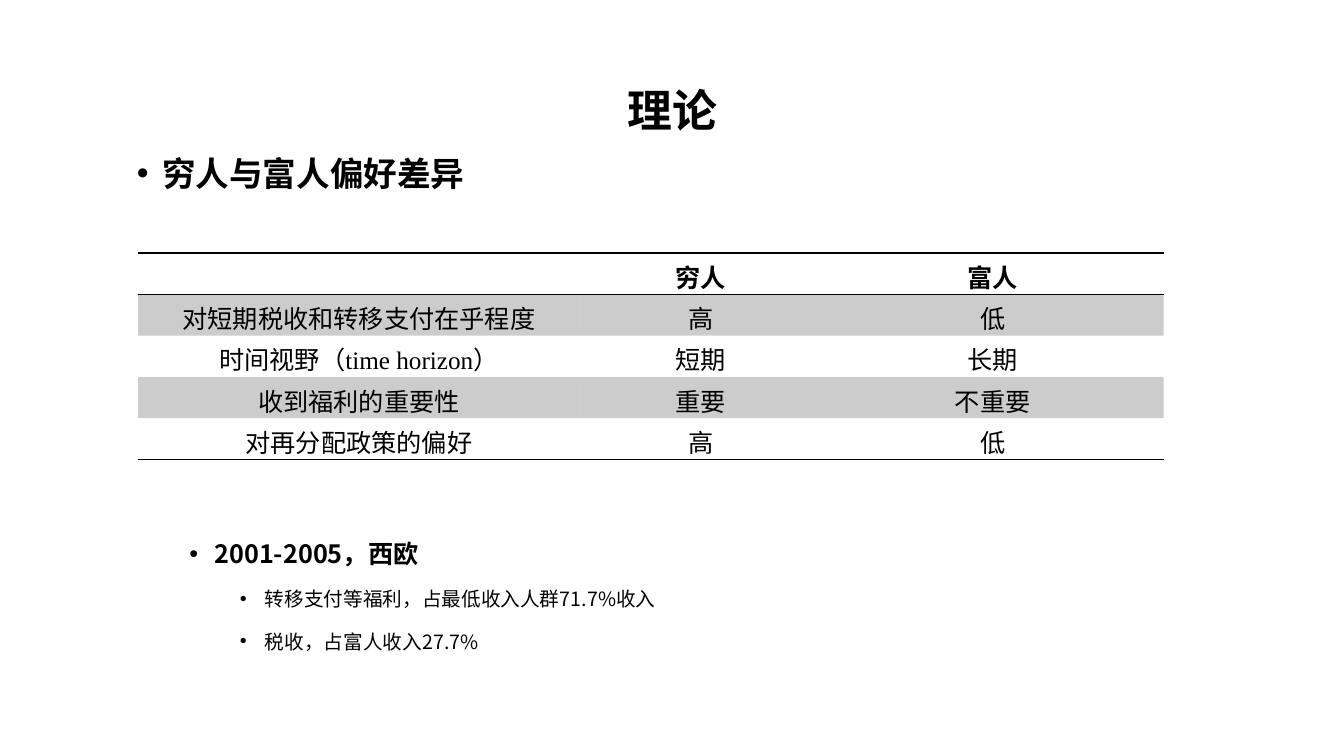
from lxml import etree
from pptx import Presentation
from pptx.dml.color import RGBColor
from pptx.enum.text import MSO_ANCHOR, PP_ALIGN
from pptx.oxml.ns import qn
from pptx.util import Inches, Pt

BLACK = RGBColor(0, 0, 0)
CENTER = PP_ALIGN.CENTER
MIDDLE = MSO_ANCHOR.MIDDLE
SANS = "Noto Sans CJK SC"
SERIF = "Times New Roman"
PLAIN = "{2D5ABB26-0587-4C30-8999-92F81FD0307C}"

WIDTHS = (4.38, 2.4, 3.39)
ROWS = (
    ("", "穷人", "富人"),
    ("对短期税收和转移支付在乎程度", "高", "低"),
    (("时间视野（", "time horizon", "）"), "短期", "长期"),
    ("收到福利的重要性", "重要", "不重要"),
    ("对再分配政策的偏好", "高", "低"),
)
FACTS = (
    ("2001-2005，西欧", 18, True, 0.25),
    ("转移支付等福利，占最低收入人群71.7%收入", 14, False, 0.75),
    ("税收，占富人收入27.7%", 14, False, 0.75),
)


class Page:
    """Style and current slide, with a method for each kind of element."""

    def __init__(self, deck):
        self.slide = deck.slides.add_slide(deck.slide_layouts[6])

    def style(self, par, size, bold):
        font = par.font
        font.size, font.bold = Pt(size), bold
        font.color.rgb = BLACK
        font.name = SANS
        node = par._p.pPr.find(qn("a:defRPr"))
        etree.SubElement(node, qn("a:ea"), typeface=SANS)

    def bullet(self, par, left):
        props = par._p.get_or_add_pPr()
        props.set("marL", str(Inches(left)))
        props.set("indent", str(Inches(-0.25)))
        etree.SubElement(props, qn("a:buFont"), typeface="Arial")
        etree.SubElement(props, qn("a:buChar"), char="•")

    def text(self, box, items, space, before=0, align=None, anchor=None):
        shape = self.slide.shapes.add_textbox(*map(Inches, box))
        frame = shape.text_frame
        frame.word_wrap = True
        frame.vertical_anchor = anchor
        for i, (words, size, bold, left) in enumerate(items):
            par = frame.add_paragraph() if i else frame.paragraphs[0]
            par.text = words
            par.alignment = align
            par.line_spacing = space
            if i:
                par.space_before = Pt(before)
            if left:
                par.level = int(left > 0.25)
                self.bullet(par, left)
            self.style(par, size, bold)

    def border(self, cell, side):
        line = etree.SubElement(cell._tc.get_or_add_tcPr(), qn("a:ln" + side), w=str(Pt(1)))
        fill = etree.SubElement(line, qn("a:solidFill"))
        etree.SubElement(fill, qn("a:srgbClr"), val=str(BLACK))

    def shade(self, cell):
        cell.fill.solid()
        cell.fill.fore_color.rgb = BLACK
        color = next(cell._tc.tcPr.iter(qn("a:srgbClr")))
        etree.SubElement(color, qn("a:alpha"), val="20000")

    def cell(self, cell, words, head):
        par = cell.text_frame.paragraphs[0]
        par.alignment = CENTER
        for part in [words] if isinstance(words, str) else words:
            if part:
                run = par.add_run()
                run.text = part
                if part.isascii():
                    run.font.name = SERIF
        self.style(par, 18, head)

    def table(self, left, top, widths, rows, high):
        size = Inches(sum(widths)), Inches(high * len(rows))
        shape = self.slide.shapes.add_table(len(rows), len(widths), Inches(left), Inches(top), *size)
        grid = shape.table
        grid.first_row = grid.horz_banding = False
        grid._tbl.tblPr.find(qn("a:tableStyleId")).text = PLAIN
        for col, wide in zip(grid.columns, widths):
            col.width = Inches(wide)
        for r, row in enumerate(rows):
            grid.rows[r].height = Inches(high)
            for c, words in enumerate(row):
                cell = grid.cell(r, c)
                self.cell(cell, words, r == 0)
                if r == 0:
                    self.border(cell, "T")
                if r in (0, len(rows) - 1):
                    self.border(cell, "B")
                if r % 2:
                    self.shade(cell)
                else:
                    cell.fill.background()


def main():
    deck = Presentation()
    deck.slide_width, deck.slide_height = Inches(13.33), Inches(7.5)
    page = Page(deck)
    page.text((0.92, 0.4, 11.5, 1.45), [("理论", 32, True, 0)], 0.9, align=CENTER, anchor=MIDDLE)
    page.text((1.26, 1.51, 11.5, 0.5), [("穷人与富人偏好差异", 24, True, 0.25)], 0.9)
    page.table(1.37, 2.51, WIDTHS, ROWS, 0.41)
    page.text((1.78, 5.14, 5.97, 1.8), FACTS, 1.5, before=5)
    deck.save("out.pptx")


if __name__ == "__main__":
    main()
